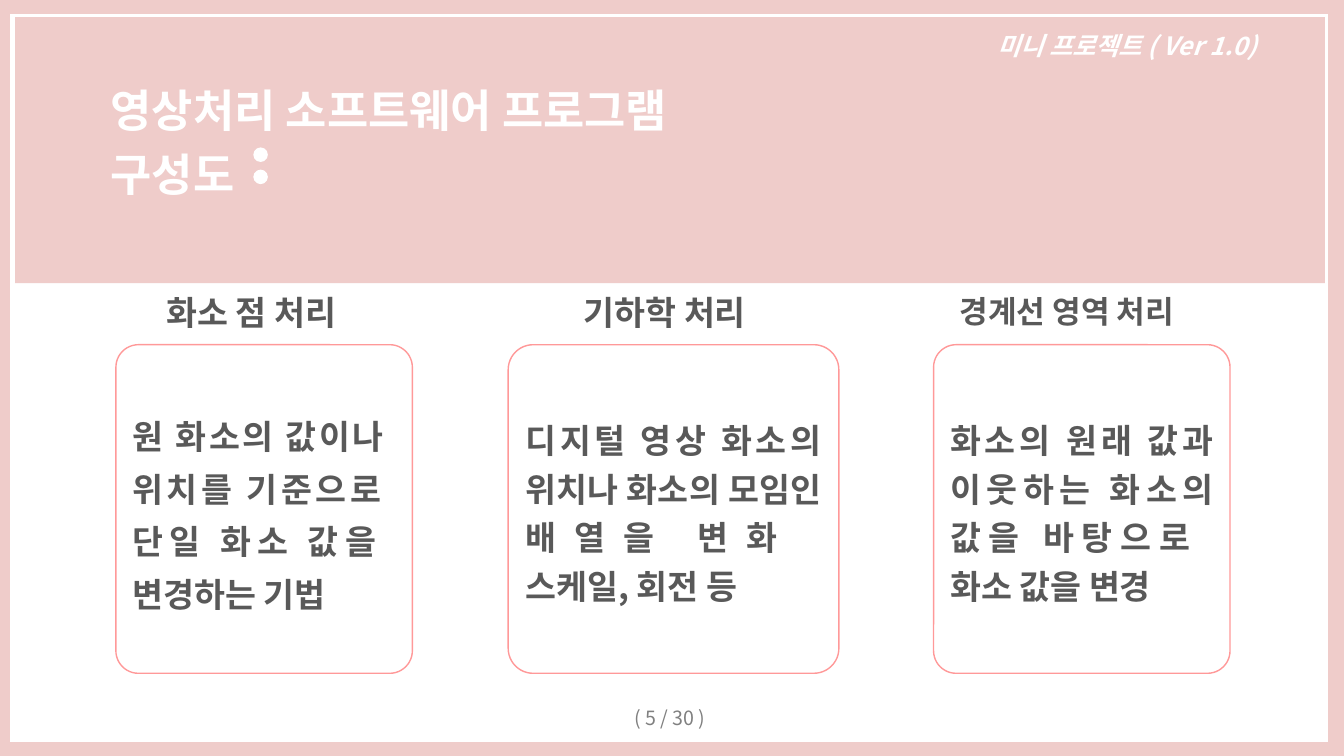
from pptx import Presentation
from pptx.util import Inches, Pt
from pptx.dml.color import RGBColor
from pptx.enum.shapes import MSO_SHAPE
from pptx.enum.text import MSO_ANCHOR, PP_ALIGN
from lxml.etree import SubElement
from pptx.oxml.ns import qn

FONT = "Noto Sans CJK KR"
PINK, WHITE, GREY = "EFCCCA", "FFFFFF", "595959"


def add_box(kind, box, fill=None, line=None, width=1):
    sp = s.shapes.add_shape(kind, *map(Inches, box))
    sp.shadow.inherit = False
    for part, color in ((sp.fill, fill), (sp.line.fill, line)):
        if color:
            part.solid()
            part.fore_color.rgb = RGBColor.from_string(color)
        else:
            part.background()
    if line:
        sp.line.width = Pt(width)
    return sp


def write(sp, text, size, color, spacing=0.9, align=PP_ALIGN.LEFT, **fmt):
    tf = sp.text_frame
    tf.word_wrap = True
    p = tf.paragraphs[0]
    p.text = text
    p.alignment = align
    p.line_spacing = spacing
    for r in p.runs:
        r.font.color.rgb = RGBColor.from_string(color)
        for name, value in {"size": Pt(size), "name": FONT, **fmt}.items():
            setattr(r.font, name, value)
        SubElement(r.font._element, qn("a:ea")).set("typeface", FONT)


prs = Presentation()
prs.slide_width, prs.slide_height = Inches(13.33), Inches(7.5)
s = prs.slides.add_slide(prs.slide_layouts[6])

# Frame and title band
add_box(MSO_SHAPE.RECTANGLE, (0, 0.04, 13.27, 7.42), WHITE, PINK, 14.75)
add_box(MSO_SHAPE.RECTANGLE, (0.15, 0.17, 12.99, 2.64), PINK)

# Project label, title, page number
labels = [
    ((9.79, 0.29, 3.39, 0.62), "미니 프로젝트 ( Ver 1.0)", 18, WHITE, 0.9, {"bold": True, "italic": True}),
    ((1, 0.66, 6.91, 1.39), "영상처리 소프트웨어 프로그램 \n구성도", 32, WHITE, 1.2, {"bold": True}),
    ((6.19, 6.95, 1.19, 0.34), "( 5 / 30 )", 14, "808080", 1.0, {}),
]
for box, text, size, color, spacing, fmt in labels:
    write(s.shapes.add_textbox(*map(Inches, box)), text, size, color, spacing, **fmt)

# Columns: heading left, width, size, text; card left, width, spacing, text
columns = [
    (1.55, 2.31, 24, "화소 점 처리", 1.15, 2.94, 1.3,
     "원 화소의 값이나 \n위치를 기준으로 \n단일 화소 값을 \n변경하는 기법"),
    (5.69, 1.99, 24, "기하학 처리", 5.04, 3.28, 1.2,
     "디지털 영상 화소의 위치나 화소의 모임인 배열을 변화 \n스케일, 회전 등"),
    (9.42, 2.63, 22.2, "경계선 영역 처리", 9.26, 2.94, 1.2,
     "화소의 원래 값과 이웃하는 화소의 값을 바탕으로 \n화소 값을 변경"),
]
for head_x, head_w, size, heading, card_x, card_w, spacing, body in columns:
    tb = s.shapes.add_textbox(Inches(head_x), Inches(2.89), Inches(head_w), Inches(0.62))
    write(tb, heading, size, GREY, bold=True)
    card = add_box(MSO_SHAPE.ROUNDED_RECTANGLE, (card_x, 3.42, card_w, 3.26), line="FF9999")
    card.adjustments[0] = 0.076
    card.text_frame.vertical_anchor = MSO_ANCHOR.MIDDLE
    write(card, body, 24, GREY, spacing, PP_ALIGN.JUSTIFY, bold=True)

# Colon dots after the title
for y in (1.47, 1.69):
    add_box(MSO_SHAPE.OVAL, (2.52, y, 0.13, 0.13), WHITE, WHITE)

prs.save("out.pptx")
